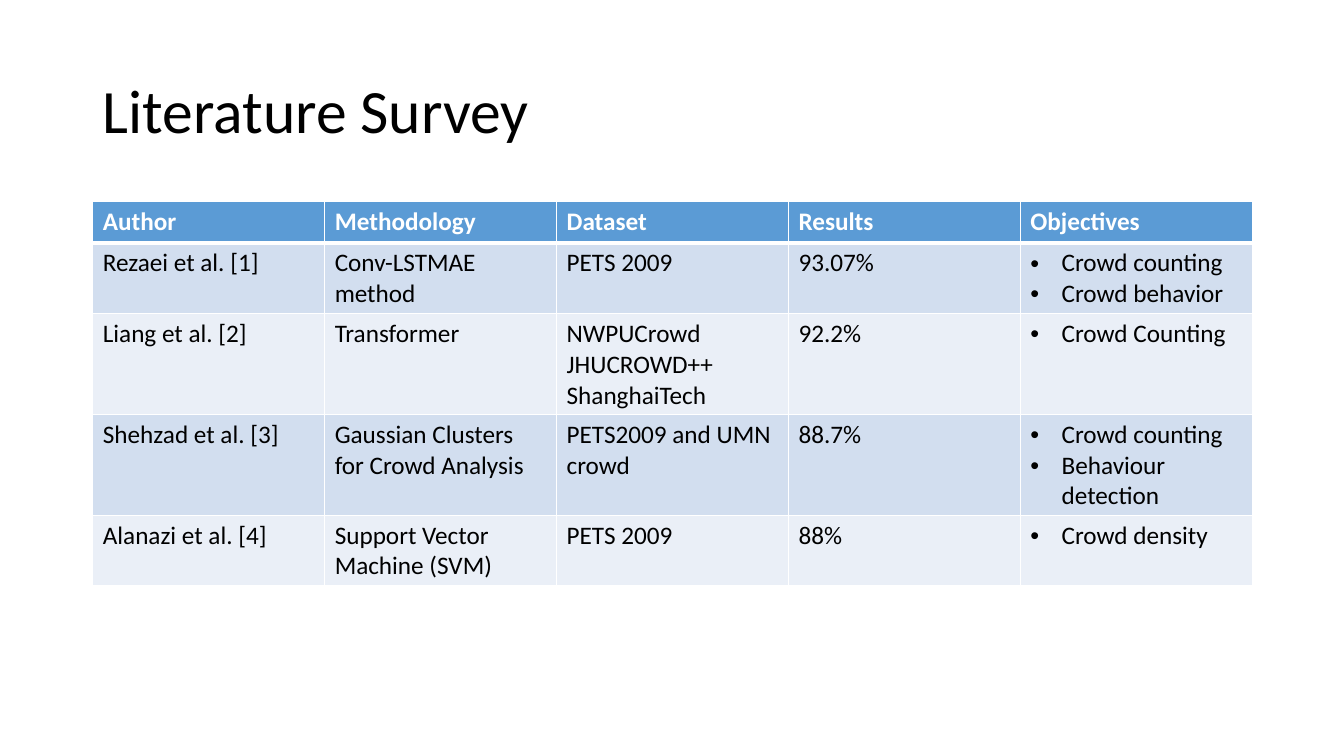
from lxml.etree import SubElement
from pptx import Presentation
from pptx.dml.color import RGBColor
from pptx.enum.text import MSO_ANCHOR
from pptx.oxml.ns import qn
from pptx.util import Inches, Pt

FONT = "Calibri"
COLORS = {
    "header": "5B9BD5",
    "odd_row": "D2DEEF",
    "even_row": "EAEFF7",
    "white": "FFFFFF",
    "black": "000000",
}
LEFT, WIDTH = 0.92, 11.5
LINE_HEIGHT, CELL_PADDING = 0.3, 0.1
BULLET_INDENT = Inches(0.31)

HEADERS = ["Author", "Methodology", "Dataset", "Results", "Objectives"]
# Each study: height in text lines, then one list of paragraphs per column.
STUDIES = [
    (2, [["Rezaei et al. [1]"], ["Conv-LSTMAE method"], ["PETS 2009"], ["93.07%"],
         ["Crowd counting", "Crowd behavior"]]),
    (3, [["Liang et al. [2]"], ["Transformer"],
         ["NWPUCrowd", "JHUCROWD++", "ShanghaiTech"], ["92.2%"],
         ["Crowd Counting"]]),
    (3, [["Shehzad et al. [3]"], ["Gaussian Clusters for Crowd Analysis"],
         ["PETS2009 and UMN crowd"], ["88.7%"],
         ["Crowd counting", "Behaviour detection"]]),
    (2, [["Alanazi et al. [4]"], ["Support Vector Machine (SVM)"], ["PETS 2009"],
         ["88%"], ["Crowd density"]]),
]


def add_run(paragraph, text, size, color, bold=False):
    run = paragraph.add_run()
    run.text = text
    run.font.name = FONT
    run.font.size = Pt(size)
    run.font.bold = bold
    run.font.color.rgb = RGBColor.from_string(COLORS[color])


def add_title(slide, text):
    box = slide.shapes.add_textbox(Inches(LEFT), Inches(0.4), Inches(WIDTH), Inches(1.45))
    frame = box.text_frame
    frame.word_wrap = True
    frame.vertical_anchor = MSO_ANCHOR.MIDDLE
    paragraph = frame.paragraphs[0]
    paragraph.line_spacing = 0.9
    add_run(paragraph, text, 44, "black")


def add_bullet(paragraph):
    properties = paragraph._p.get_or_add_pPr()
    properties.set("marL", str(BULLET_INDENT))
    properties.set("indent", str(-BULLET_INDENT))
    SubElement(properties, qn("a:buFont"), typeface="Arial")
    SubElement(properties, qn("a:buChar"), char="•")


def set_borders(cell, top=1, bottom=1):
    """Draw white borders; must run before the fill, which follows them in the XML."""
    properties = cell._tc.get_or_add_tcPr()
    for side, width in (("L", 1), ("R", 1), ("T", top), ("B", bottom)):
        line = SubElement(properties, qn(f"a:ln{side}"), w=str(Pt(width)))
        fill = SubElement(line, qn("a:solidFill"))
        SubElement(fill, qn("a:srgbClr"), val=COLORS["white"])


def fill_cell(cell, texts, fill, color="black", bold=False, bulleted=False):
    cell.fill.solid()
    cell.fill.fore_color.rgb = RGBColor.from_string(COLORS[fill])
    frame = cell.text_frame
    for index, text in enumerate(texts):
        paragraph = frame.add_paragraph() if index else frame.paragraphs[0]
        if bulleted:
            add_bullet(paragraph)
        add_run(paragraph, text, 18, color, bold)


def add_survey_table(slide):
    heights = [0.41] + [CELL_PADDING + LINE_HEIGHT * lines for lines, _ in STUDIES]
    table = slide.shapes.add_table(
        len(heights), len(HEADERS), Inches(LEFT), Inches(2),
        Inches(WIDTH), Inches(sum(heights))).table
    for row, height in zip(table.rows, heights):
        row.height = Inches(height)

    for column, header in enumerate(HEADERS):
        cell = table.cell(0, column)
        set_borders(cell, bottom=3)
        fill_cell(cell, [header], "header", "white", bold=True)

    for row, (_, columns) in enumerate(STUDIES, start=1):
        for column, texts in enumerate(columns):
            cell = table.cell(row, column)
            set_borders(cell, top=3 if row == 1 else 1)
            fill_cell(cell, texts, "odd_row" if row % 2 else "even_row",
                      bulleted=HEADERS[column] == "Objectives")


def main():
    presentation = Presentation()
    presentation.slide_width = Inches(13.33)
    presentation.slide_height = Inches(7.5)
    slide = presentation.slides.add_slide(presentation.slide_layouts[6])
    add_title(slide, "Literature Survey")
    add_survey_table(slide)
    presentation.save("out.pptx")


if __name__ == "__main__":
    main()
